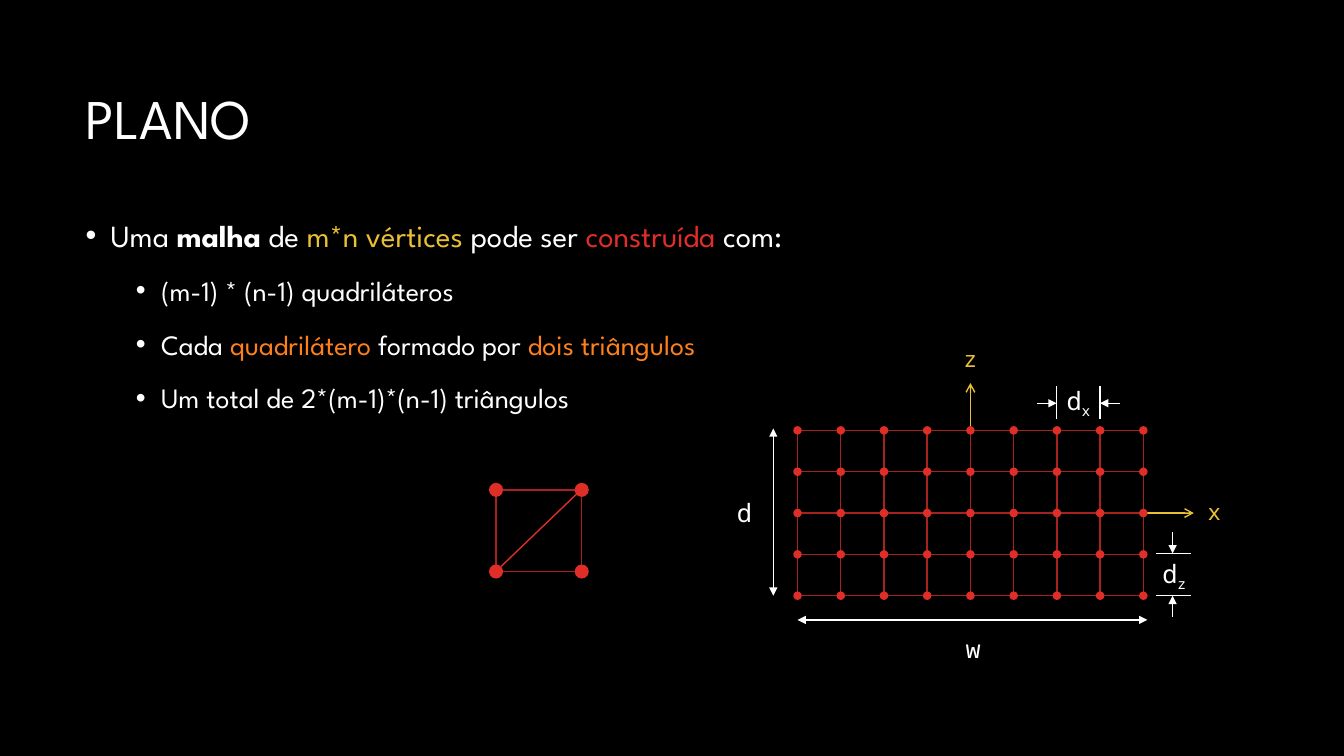
from dataclasses import dataclass
from typing import Any

import pptx
import pptx.dml.color
import pptx.enum.shapes
import pptx.enum.text
import pptx.oxml.ns
import pptx.oxml.xmlchemy
import pptx.util

Inches = pptx.util.Inches
Pt = pptx.util.Pt
RGBColor = pptx.dml.color.RGBColor
MSO_SHAPE = pptx.enum.shapes.MSO_SHAPE
MSO_CONNECTOR = pptx.enum.shapes.MSO_CONNECTOR
MSO_AUTO_SIZE = pptx.enum.text.MSO_AUTO_SIZE
MSO_ANCHOR = pptx.enum.text.MSO_ANCHOR
PP_ALIGN = pptx.enum.text.PP_ALIGN
qn = pptx.oxml.ns.qn
OxmlElement = pptx.oxml.xmlchemy.OxmlElement

BLACK = RGBColor(0x00, 0x00, 0x00)
WHITE = RGBColor(0xFF, 0xFF, 0xFF)
YELLOW = RGBColor(0xE9, 0xBF, 0x35)
RED = RGBColor(0xDF, 0x2E, 0x28)
DARK_RED = RGBColor(0xA5, 0x22, 0x1E)
ORANGE = RGBColor(0xFE, 0x80, 0x1A)

SANS = "League Spartan"
MONO = "Noto Sans Mono"

COLS, ROWS = 8, 4
GRID_X, GRID_Y = 7.91, 4.27
DX, DZ = 3.43 / COLS, 1.64 / ROWS
CENTER_X, CENTER_Y = GRID_X + DX * COLS / 2, GRID_Y + DZ * ROWS / 2
DOT = 0.07
QUAD_X, QUAD_Y, QUAD_W, QUAD_H = 4.92, 4.86, 0.85, 0.81
QUAD_DOT = 0.14


@dataclass
class Span:
    text: str
    color: RGBColor = WHITE
    bold: bool = False


@dataclass
class Bullet:
    level: int
    spans: list[Span]


@dataclass
class Label:
    x: float
    y: float
    w: float
    h: float
    text: str
    size: int = 18
    color: RGBColor = WHITE
    sub: str = ""


@dataclass
class Line:
    x1: float
    y1: float
    x2: float
    y2: float
    color: RGBColor = WHITE
    head: str = ""
    tail: str = ""


BULLETS = [
    Bullet(0, [Span("Uma "), Span("malha", bold=True), Span(" de "), Span("m*n vértices ", YELLOW),
               Span("pode ser "), Span("construída", RED), Span(" com:")]),
    Bullet(1, [Span("(m-1) * (n-1) quadriláteros")]),
    Bullet(1, [Span("Cada "), Span("quadrilátero", ORANGE), Span(" formado por "),
               Span("dois triângulos", ORANGE)]),
    Bullet(1, [Span("Um total de 2*(m-1)*(n-1) triângulos")]),
]
AXES = [
    Line(CENTER_X, CENTER_Y, CENTER_X, 3.8, YELLOW, tail="arrow"),
    Line(CENTER_X, CENTER_Y, 11.84, CENTER_Y, YELLOW, tail="arrow"),
]
EXTENTS = [
    Line(7.91, 6.15, 11.38, 6.15, head="triangle", tail="triangle"),
    Line(7.67, 5.91, 7.67, 4.25, head="triangle", tail="triangle"),
]
LABELS = [
    Label(11.88, 4.89, 0.32, 0.37, "x", 16, YELLOW),
    Label(9.46, 3.38, 0.32, 0.37, "z", 16, YELLOW),
    Label(7.21, 4.88, 0.34, 0.4, "d"),
    Label(9.48, 6.23, 0.34, 0.4, "w"),
    Label(10.48, 3.77, 0.46, 0.4, "d", sub="x"),
    Label(11.43, 5.49, 0.46, 0.4, "d", sub="z"),
]
DX_LINES = [
    Line(10.48, 4.16, 10.48, 3.83),
    Line(10.91, 4.16, 10.91, 3.83),
    Line(10.29, 4, 10.48, 4, tail="triangle"),
    Line(11.11, 4, 10.91, 4, tail="triangle"),
]
DZ_LINES = [
    Line(11.47, 5.49, 11.81, 5.49),
    Line(11.47, 5.91, 11.81, 5.91),
    Line(11.63, 5.28, 11.63, 5.49, tail="triangle"),
    Line(11.63, 6.12, 11.63, 5.91, tail="triangle"),
]


def apply(obj: Any, **values: Any) -> None:
    for name, value in values.items():
        setattr(obj, name, value)


def add_run(p: Any, text: str, color: RGBColor, **font: Any) -> Any:
    r = p.add_run()
    r.text = text
    apply(r.font, **font)
    r.font.color.rgb = color
    return r


def add_line(shapes: Any, line: Line) -> None:
    ends = [Inches(v) for v in (line.x1, line.y1, line.x2, line.y2)]
    cn = shapes.add_connector(MSO_CONNECTOR.STRAIGHT, *ends)
    cn.line.color.rgb = line.color
    cn.line.width = Pt(1)
    spPr = cn._element.spPr
    ln = spPr.find(qn("a:ln"))
    for tag, kind in (("a:headEnd", line.head), ("a:tailEnd", line.tail)):
        if kind:
            end = OxmlElement(tag)
            end.set("type", kind)
            ln.append(end)
    spPr.append(OxmlElement("a:effectLst"))


def add_quad(shapes: Any, x: float, y: float, w: float, h: float) -> None:
    sp = shapes.add_shape(MSO_SHAPE.RECTANGLE, Inches(x), Inches(y), Inches(w), Inches(h))
    sp.shadow.inherit = False
    sp.fill.background()
    sp.line.color.rgb = DARK_RED
    sp.line.width = Pt(1)


def add_vertex(shapes: Any, cx: float, cy: float, size: float, outlined: bool) -> None:
    sp = shapes.add_shape(MSO_SHAPE.OVAL, Inches(cx - size / 2), Inches(cy - size / 2),
                          Inches(size), Inches(size))
    sp.shadow.inherit = False
    sp.fill.solid()
    sp.fill.fore_color.rgb = RED
    if outlined:
        sp.line.color.rgb = RED
        sp.line.width = Pt(1)
    else:
        sp.line.fill.background()


def add_label(shapes: Any, label: Label) -> None:
    tb = shapes.add_textbox(Inches(label.x), Inches(label.y), Inches(label.w), Inches(label.h))
    tf = tb.text_frame
    apply(tf, word_wrap=False, auto_size=MSO_AUTO_SIZE.SHAPE_TO_FIT_TEXT)
    font = {"size": Pt(label.size), "name": MONO}
    add_run(tf.paragraphs[0], label.text, label.color, **font)
    if label.sub:
        r = add_run(tf.paragraphs[0], label.sub, label.color, **font)
        r._r.get_or_add_rPr().set("baseline", "-25000")


def add_title(s: Any, text: str) -> None:
    title = s.shapes.title
    apply(title, left=Inches(0.75), top=Inches(0.5), width=Inches(11.83), height=Inches(1.41))
    tf = title.text_frame
    apply(tf, vertical_anchor=MSO_ANCHOR.MIDDLE, word_wrap=True, auto_size=MSO_AUTO_SIZE.NONE)
    p = tf.paragraphs[0]
    apply(p, alignment=PP_ALIGN.LEFT, line_spacing=0.9)
    add_run(p, text, WHITE, size=Pt(40), name=SANS)


def add_bullets(s: Any, bullets: list[Bullet]) -> None:
    tb = s.shapes.add_textbox(Inches(0.75), Inches(2.06), Inches(11.83), Inches(4.69))
    tf = tb.text_frame
    tf.word_wrap = True
    for i, bullet in enumerate(bullets):
        p = tf.add_paragraph() if i else tf.paragraphs[0]
        pPr = p._p.get_or_add_pPr()
        pPr.set("marL", str(Inches(0.25 + 0.5 * bullet.level)))
        pPr.set("indent", str(Inches(-0.25)))
        for tag, key, value in (("a:buFont", "typeface", "Arial"), ("a:buChar", "char", "•")):
            bu = OxmlElement(tag)
            bu.set(key, value)
            pPr.append(bu)
        apply(p, level=bullet.level, line_spacing=1.1, space_before=Pt(12 if i else 0))
        for span in bullet.spans:
            add_run(p, span.text, span.color, bold=span.bold, name=SANS,
                    size=Pt(22 - 2 * bullet.level))


def add_mesh(shapes: Any, x: float, y: float, dx: float, dy: float, cols: int, rows: int,
             dot: float, outlined: bool) -> None:
    for row in range(rows):
        for col in range(cols):
            add_quad(shapes, x + col * dx, y + row * dy, dx, dy)
    for row in range(rows + 1):
        for col in range(cols + 1):
            add_vertex(shapes, x + col * dx, y + row * dy, dot, outlined)


def main() -> None:
    prs = pptx.Presentation()
    apply(prs, slide_width=Inches(13.33), slide_height=Inches(7.5))
    s = prs.slides.add_slide(prs.slide_layouts[5])
    s.background.fill.solid()
    s.background.fill.fore_color.rgb = BLACK
    add_title(s, "PLANO")
    add_bullets(s, BULLETS)
    for line in AXES:
        add_line(s.shapes, line)
    add_mesh(s.shapes, GRID_X, GRID_Y, DX, DZ, COLS, ROWS, DOT, True)
    for line in EXTENTS + DX_LINES + DZ_LINES:
        add_line(s.shapes, line)
    for label in LABELS:
        add_label(s.shapes, label)
    quad = s.shapes.add_group_shape()
    add_mesh(quad.shapes, QUAD_X, QUAD_Y, QUAD_W, QUAD_H, 1, 1, QUAD_DOT, False)
    add_line(quad.shapes, Line(4.97, 5.62, 5.72, 4.9, RED))
    prs.save("out.pptx")


if __name__ == "__main__":
    main()
